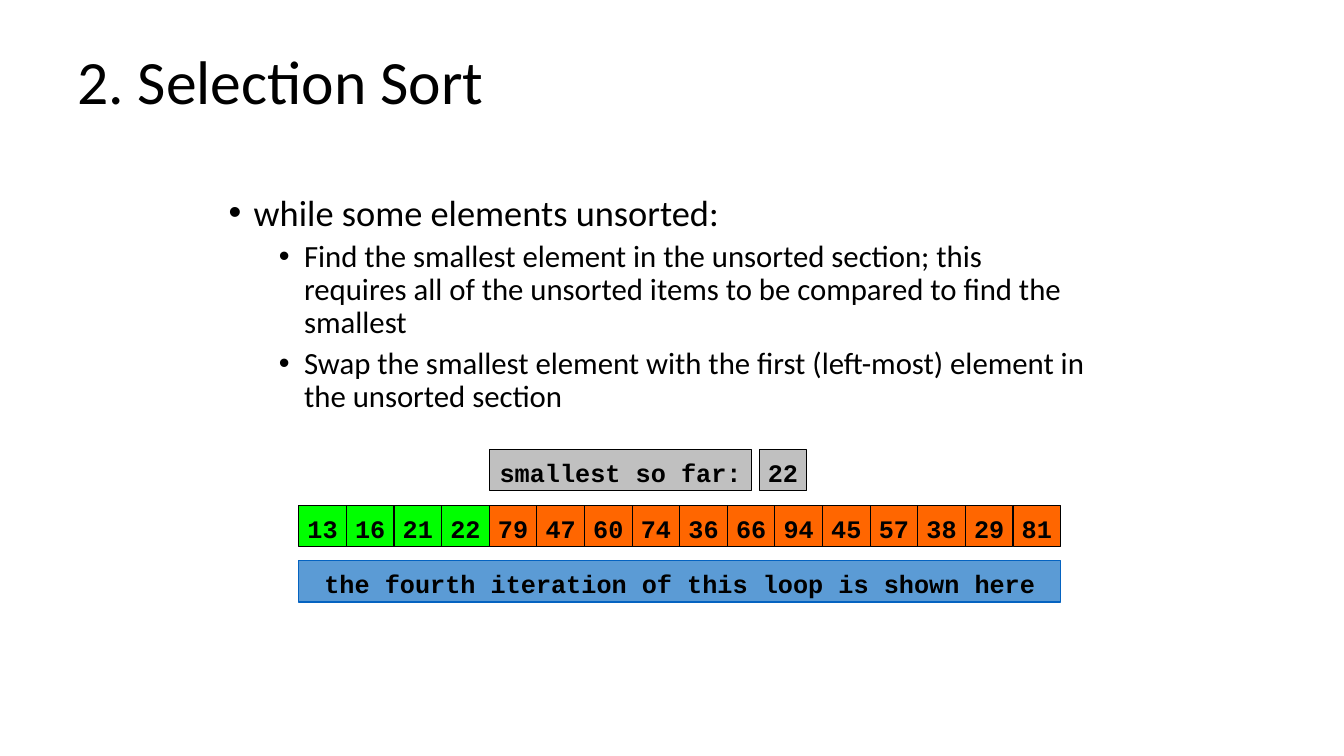
from lxml.etree import SubElement
from pptx import Presentation
from pptx.dml.color import RGBColor
from pptx.enum.shapes import MSO_SHAPE as Shape
from pptx.enum.text import MSO_ANCHOR as Anchor, PP_ALIGN as Align
from pptx.oxml.ns import qn
from pptx.util import Cm, Pt

BLACK, GREEN, ORANGE, GRAY, BLUE, DARK_BLUE = (
    "000000", "00FF00", "FF6600", "C0C0C0", "5B9BD5", "0563C1")


def color(value):
    return RGBColor.from_string(value)


class SlideWriter:
    text_font = "Calibri"
    code_font = "Courier New"
    code_size = 18
    line_spacing = 0.9

    def __init__(self, slide):
        self.slide = slide

    def style(self, para, font, size, bold=False):
        for span in para.runs:
            span.font.name = font
            span.font.size = Pt(size)
            span.font.bold = bold
            span.font.color.rgb = color(BLACK)

    def text_box(self, left, top, width, height, anchor):
        box = self.slide.shapes.add_textbox(Cm(left), Cm(top), Cm(width), Cm(height))
        box.text_frame.word_wrap = True
        box.text_frame.vertical_anchor = anchor
        return box

    def title(self, text, left, top, width, height):
        box = self.text_box(left, top, width, height, Anchor.MIDDLE)
        box.text_frame.text = text
        para = box.text_frame.paragraphs[0]
        para.line_spacing = self.line_spacing
        self.style(para, self.text_font, 44)

    def bullets(self, items, left, top, width, height):
        box = self.text_box(left, top, width, height, Anchor.TOP)
        box.text_frame.text = "\n".join(text for level, text in items)
        for para, (level, text) in zip(box.text_frame.paragraphs, items):
            para.level = level
            para.line_spacing = self.line_spacing
            para.space_before = Pt((10, 5)[level])
            self.style(para, self.text_font, (26, 22)[level])
            props = para._p.get_or_add_pPr()
            props.set("marL", str(Cm(0.635 + 1.27 * level)))
            props.set("indent", str(-Cm(0.635)))
            SubElement(props, qn("a:buFont"), typeface="Arial")
            SubElement(props, qn("a:buChar"), char="•")

    def code_box(self, text, left, top, width, fill, line=BLACK, weight=0.75):
        box = self.slide.shapes.add_shape(
            Shape.RECTANGLE, Cm(left), Cm(top), Cm(width), Cm(1.04))
        box.shadow.inherit = False
        box.fill.solid()
        box.fill.fore_color.rgb = color(fill)
        box.line.color.rgb = color(line)
        box.line.width = Pt(weight)
        frame = box.text_frame
        frame.word_wrap = True
        frame.vertical_anchor = Anchor.MIDDLE
        frame.margin_left = frame.margin_right = Cm(0.13)
        frame.margin_top, frame.margin_bottom = Cm(0.2), Cm(0.08)
        frame.text = text
        para = frame.paragraphs[0]
        para.alignment = Align.CENTER
        self.style(para, self.code_font, self.code_size, bold=True)

    def array(self, values, sorted_count, left, top, cell):
        for index, value in enumerate(values):
            fill = GREEN if index < sorted_count else ORANGE
            self.code_box(str(value), left + index * cell, top, cell, fill)


def main():
    deck = Presentation()
    deck.slide_width, deck.slide_height = Cm(33.87), Cm(19.05)
    page = SlideWriter(deck.slides.add_slide(deck.slide_layouts[6]))

    page.title("2. Selection Sort", 1.7, 0.33, 27.94, 3.61)
    page.bullets([
        (0, "while some elements unsorted:"),
        (1, "Find the smallest element in the unsorted section; this requires "
            "all of the unsorted items to be compared to find the smallest"),
        (1, "Swap the smallest element with the first (left-most) element in "
            "the unsorted section"),
    ], 5.51, 4.78, 22.23, 6.91)

    values = [13, 16, 21, 22, 79, 47, 60, 74, 36, 66, 94, 45, 57, 38, 29, 81]
    left, cell = 7.53, 1.2
    smallest_top, array_top, caption_top = (11.33 + 1.4 * row for row in range(3))
    page.array(values, 4, left, array_top, cell)
    page.code_box("the fourth iteration of this loop is shown here",
                  left, caption_top, cell * len(values), BLUE, DARK_BLUE, 1)
    page.code_box("smallest so far:", 12.34, smallest_top, 6.6, GRAY)
    page.code_box("22", 19.13, smallest_top, cell, GRAY)

    deck.save("out.pptx")


if __name__ == "__main__":
    main()
